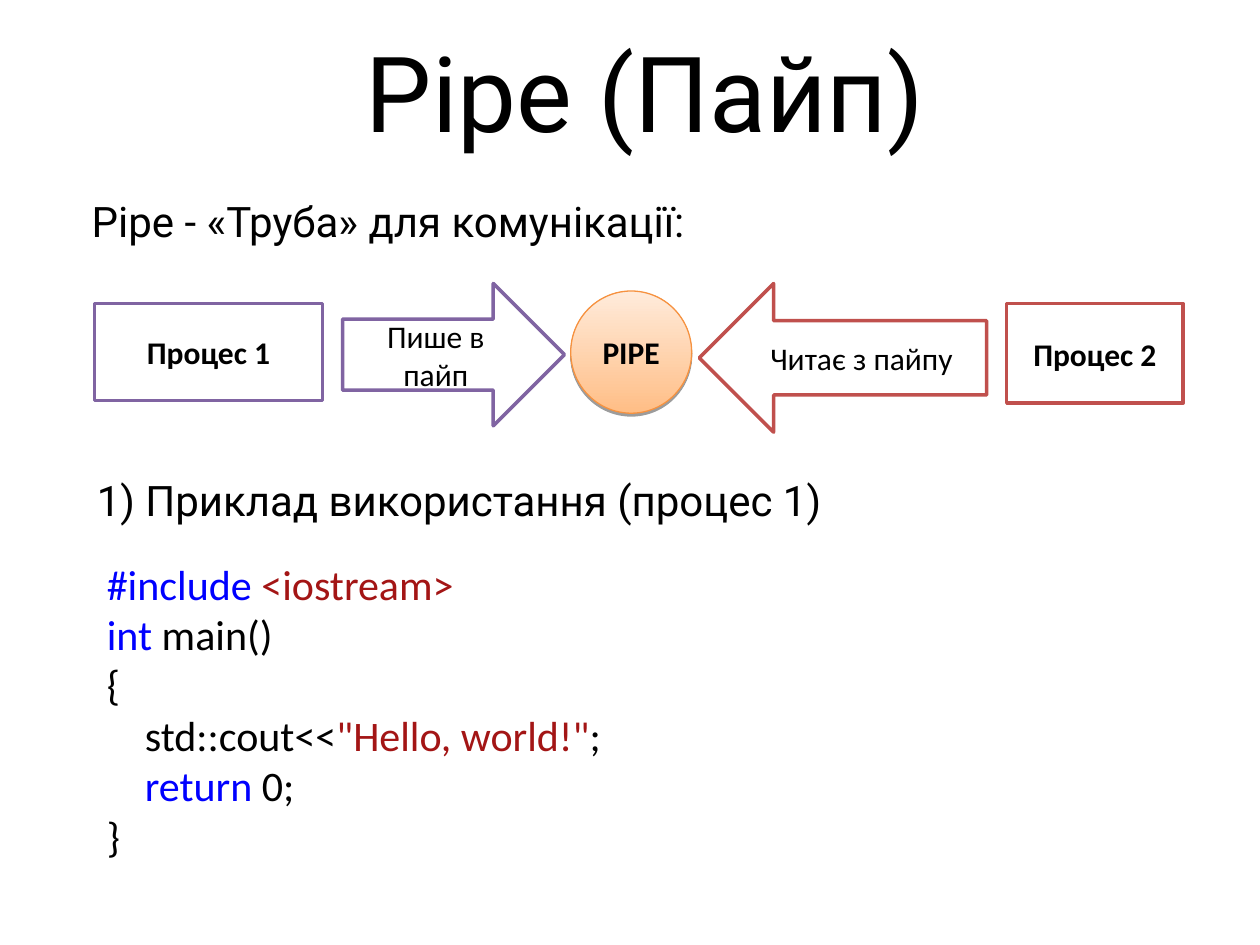
from lxml import etree
from pptx import Presentation
from pptx import util as u
from pptx.dml.color import RGBColor
from pptx.enum import shapes, text
from pptx.oxml.ns import qn

BLACK, BLUE, RED = "000000", "0000FF", "A31515"
PURPLE, BRICK, AMBER = "8064A2", "C0504D", "F69240"
KIND = shapes.MSO_SHAPE

# Boxes are left, top, width, height in points.
TITLE = ("Pipe (Пайп)", (82.08, 20.16, 573.12, 84.96))
HEADS = [
    ("Pipe - «Труба» для комунікації:", (45.36, 108, 439.2, 41.76)),
    ("1) Приклад використання (процес 1)", (48.24, 267.84, 470.88, 41.76)),
]
FLOW = [
    ("Процес 1", KIND.RECTANGLE, (54, 173.52, 130.32, 55.44), PURPLE, True),
    ("Процес 2", KIND.RECTANGLE, (575.28, 173.52, 100.8, 56.88), BRICK, True),
    ("Пише в пайп", KIND.RIGHT_ARROW, (195.84, 162, 126.72, 81.36), PURPLE, False),
    ("PIPE", KIND.OVAL, (326.16, 166.32, 69.12, 69.84), AMBER, True),
    ("Читає з пайпу", KIND.LEFT_ARROW, (399.6, 162, 164.16, 84.96), BRICK, False),
]
CODE_BOX = (54, 315.36, 360, 180)
# Each line: indent level, then its coloured runs.
CODE = [
    (0, [("#include ", BLUE), ("<iostream>", RED)]),
    (0, [("int", BLUE), (" main()", BLACK)]),
    (0, [("{", BLACK)]),
    (1, [("std::cout<<", BLACK), ('"Hello, world!"', RED), (";", BLACK)]),
    (1, [("return", BLUE), (" 0;", BLACK)]),
    (0, [("}", BLACK)]),
]
INDENT = 21.7


def rgb(code):
    return RGBColor.from_string(code)


def place(box):
    return [u.Pt(n) for n in box]


def add_run(para, words, size, face, color=BLACK, bold=False):
    run = para.add_run()
    run.text = words
    font = run.font
    font.size, font.name, font.bold = u.Pt(size), face, bold
    font.color.rgb = rgb(color)


def add_box(slide, box):
    frame = slide.shapes.add_textbox(*place(box)).text_frame
    frame.word_wrap = True
    return frame


def center(frame):
    frame.vertical_anchor = text.MSO_ANCHOR.MIDDLE
    para = frame.paragraphs[0]
    para.alignment = text.PP_ALIGN.CENTER
    return para


def shade(shape):
    """Give the shape an upward fade and a thin shadow below it."""
    shape.fill.gradient()
    shape.fill.gradient_angle = 90
    for stop, color in zip(shape.fill.gradient_stops, ("FFBE86", "FFEBDB")):
        stop.color.rgb = rgb(color)
    effects = shape._element.spPr.find(qn("a:effectLst"))
    drop = etree.SubElement(effects, qn("a:outerShdw"), blurRad="0",
                            dist=str(u.Pt(1.6)), dir="5400000", rotWithShape="0")
    tint = etree.SubElement(drop, qn("a:srgbClr"), val=BLACK)
    etree.SubElement(tint, qn("a:alpha"), val="38000")


def add_flow(slide, words, kind, box, color, bold):
    shape = slide.shapes.add_shape(kind, *place(box))
    shape.shadow.inherit = False
    shape.line.color.rgb = rgb(color)
    if kind == KIND.OVAL:
        shape.line.width = u.Pt(0.75)
        shade(shape)
    else:
        shape.line.width = u.Pt(2)
        shape.fill.solid()
        shape.fill.fore_color.rgb = rgb("FFFFFF")
    shape.text_frame.word_wrap = True
    add_run(center(shape.text_frame), words, 18, "Calibri", bold=bold)


def add_code(slide):
    frame = add_box(slide, CODE_BOX)
    frame.auto_size = text.MSO_AUTO_SIZE.SHAPE_TO_FIT_TEXT
    for i, (level, runs) in enumerate(CODE):
        para = frame.add_paragraph() if i else frame.paragraphs[0]
        if level:
            para._p.get_or_add_pPr().set("marL", str(u.Pt(level * INDENT)))
        for words, color in runs:
            add_run(para, words, 24, "Calibri", color)


def main():
    deck = Presentation()
    deck.slide_width, deck.slide_height = u.Pt(720), u.Pt(540)
    slide = deck.slides.add_slide(deck.slide_layouts[6])

    words, box = TITLE
    para = center(add_box(slide, box))
    para.line_spacing = u.Pt(50)
    add_run(para, words, 60, "Roboto")

    add_code(slide)
    for words, box in HEADS:
        add_run(add_box(slide, box).paragraphs[0], words, 24, "Roboto")
    for part in FLOW:
        add_flow(slide, *part)
    deck.save("out.pptx")


if __name__ == "__main__":
    main()
